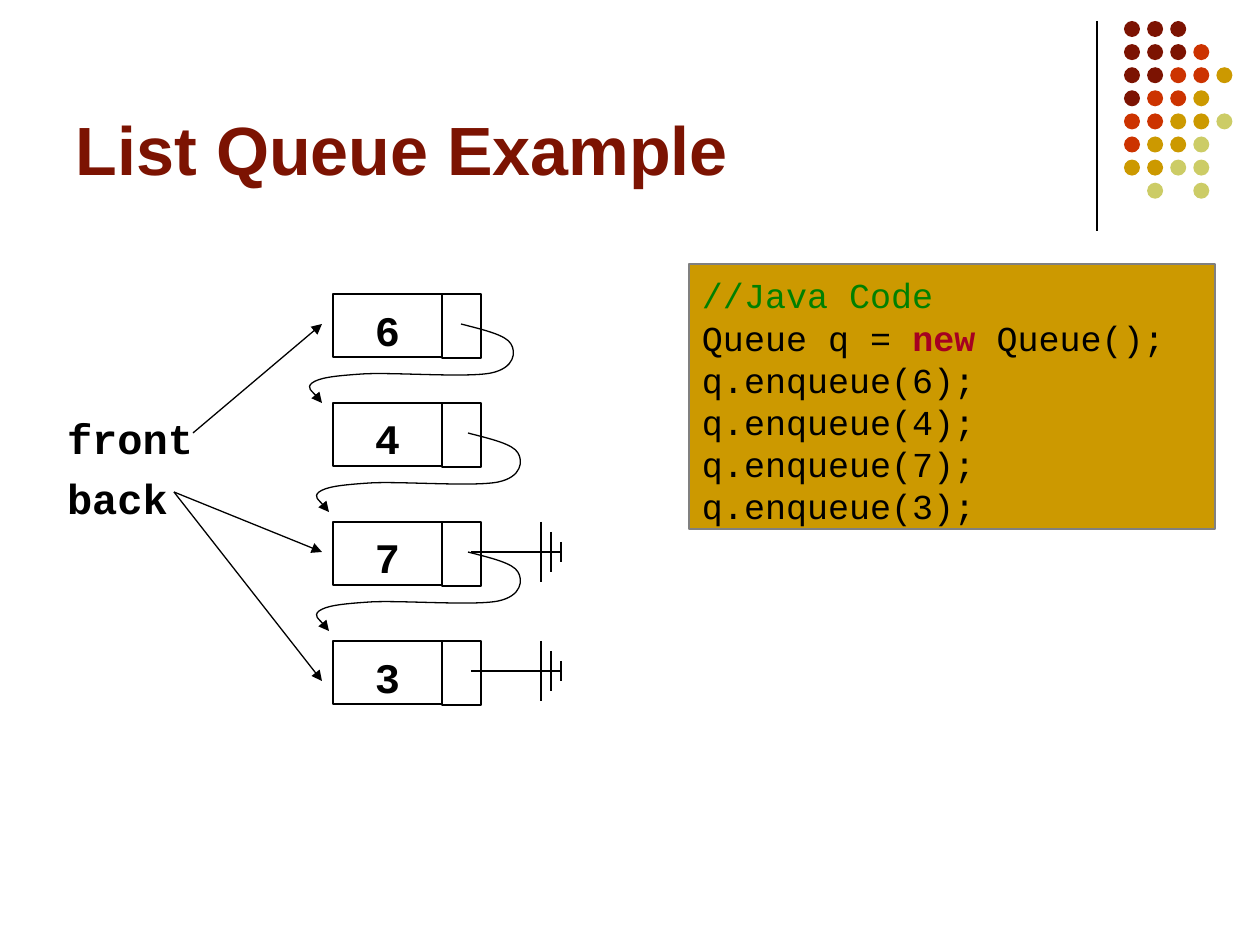
from lxml.etree import SubElement
from pptx import Presentation
from pptx.dml.color import RGBColor
from pptx.enum.shapes import MSO_CONNECTOR, MSO_SHAPE
from pptx.enum.text import MSO_ANCHOR, PP_ALIGN
from pptx.oxml.ns import qn
from pptx.util import Emu, Pt

PX = 914400 / 126

BLACK = RGBColor(0x00, 0x00, 0x00)
MAROON = RGBColor(0x7C, 0x13, 0x02)
RED = RGBColor(0xCC, 0x33, 0x00)
GOLD = RGBColor(0xCC, 0x99, 0x00)
OLIVE = RGBColor(0xCC, 0xCC, 0x66)
GRAY = RGBColor(0x80, 0x80, 0x80)
GREEN = RGBColor(0x00, 0x80, 0x00)
CRIMSON = RGBColor(0xA5, 0x00, 0x21)

TITLE = "List Queue Example"
DOT_ROWS = ["MMM", "MMMR", "MMRRG", "MRRG", "RRGGO", "RGGO", "GGOO", " O O"]
DOT_COLORS = {"M": MAROON, "R": RED, "G": GOLD, "O": OLIVE}

# value, top, start x of the link to the next node, whether it is grounded
NODES = [
    ("6", 294, 461, False),
    ("4", 403, 468, False),
    ("7", 522, 468, True),
    ("3", 641, None, True),
]
LABELS = [("front", 403), ("back", 463)]
POINTERS = [((193, 433), (322, 324)),
            ((174, 492), (322, 552)),
            ((174, 492), (322, 681))]
# cubic control points, relative to the start of a link
LINK_CURVE = [
    (23, 6), (45, 11), (50, 20),
    (55, 28), (54, 44), (30, 49),
    (5, 54), (-69, 48), (-99, 50),
    (-129, 52), (-142, 54), (-149, 59),
    (-155, 64), (-140, 76), (-139, 79),
]
CODE = [
    [("//Java Code", GREEN, False)],
    [("Queue q = ", BLACK, False), ("new", CRIMSON, True), (" Queue();", BLACK, False)],
] + [[(f"q.enqueue({value});", BLACK, False)] for value, *_ in NODES]


def px(*lengths):
    return [Emu(round(length * PX)) for length in lengths]


def set_line(line, color=BLACK, width=0.75, arrow=False):
    line.color.rgb = color
    line.width = Pt(width)
    if arrow:
        SubElement(line._get_or_add_ln(), qn("a:tailEnd"), type="triangle")


def add_line(shapes, start, end, arrow=False):
    connector = shapes.add_connector(MSO_CONNECTOR.STRAIGHT, *px(*start, *end))
    SubElement(connector._element.spPr, qn("a:effectLst"))
    set_line(connector.line, arrow=arrow)


def add_preset(shapes, kind, box, fill=None):
    shape = shapes.add_shape(kind, *px(*box))
    shape.shadow.inherit = False
    if fill is None:
        shape.fill.background()
    else:
        shape.fill.solid()
        shape.fill.fore_color.rgb = fill
    return shape


def prepare_frame(shape, anchor=MSO_ANCHOR.TOP, top=6):
    frame = shape.text_frame
    frame.word_wrap = True
    frame.vertical_anchor = anchor
    frame.margin_left, frame.margin_top, frame.margin_right, frame.margin_bottom = px(13, top, 13, 6)
    return frame


def style(paragraph, font, size, color=None, bold=None, align=PP_ALIGN.LEFT):
    paragraph.alignment = align
    paragraph.font.name = font
    paragraph.font.size = Pt(size)
    paragraph.font.bold = bold
    if color is not None:
        paragraph.font.color.rgb = color


def write_mono(shape, text, align=PP_ALIGN.LEFT):
    paragraph = prepare_frame(shape, top=10).paragraphs[0]
    paragraph.text = text
    paragraph.line_spacing = Pt(28.8)
    style(paragraph, "Courier New", 24, BLACK, True, align)


def add_link(shapes, x, y):
    """Draw the curved arrow from a node to the next one."""
    builder = shapes.build_freeform(*px(x, y), scale=1.0)
    builder.add_line_segments([px(x + dx, y + dy) for dx, dy in LINK_CURVE], close=False)
    link = builder.convert_to_shape()
    link.shadow.inherit = False
    link.fill.background()
    set_line(link.line, arrow=True)
    # Every three straight segments become one cubic curve.
    outline = link._element.find(".//" + qn("a:path"))
    segments = outline.findall(qn("a:lnTo"))
    for first in range(0, len(segments), 3):
        curve = SubElement(outline, qn("a:cubicBezTo"))
        for segment in segments[first:first + 3]:
            curve.append(segment[0])
            outline.remove(segment)


def add_ground(shapes, y):
    add_line(shapes, (471, y), (561, y))
    for x, half in ((541, 30), (551, 20), (561, 10)):
        add_line(shapes, (x, y - half), (x, y + half))


def add_node(shapes, value, top, link_x, grounded):
    cell = add_preset(shapes, MSO_SHAPE.RECTANGLE, (333, top, 109, 63))
    write_mono(cell, value, PP_ALIGN.CENTER)
    pointer = add_preset(shapes, MSO_SHAPE.RECTANGLE, (442, top, 39, 64))
    for part in (cell, pointer):
        set_line(part.line)
    if grounded:
        add_ground(shapes, top + 30)
    if link_x is not None:
        add_link(shapes, link_x, top + 30)


def add_code(shapes):
    panel = add_preset(shapes, MSO_SHAPE.RECTANGLE, (689, 264, 526, 265), GOLD)
    set_line(panel.line, GRAY, 1.5)
    frame = prepare_frame(panel, top=10)
    for index, pieces in enumerate(CODE):
        paragraph = frame.add_paragraph() if index else frame.paragraphs[0]
        paragraph.line_spacing = Pt(24)
        style(paragraph, "Courier New", 20)
        for text, color, bold in pieces:
            run = paragraph.add_run()
            run.text = text
            run.font.color.rgb = color
            run.font.bold = bold


def add_decoration(shapes):
    add_line(shapes, (1097, 21), (1097, 231))
    for row, letters in enumerate(DOT_ROWS):
        for column, letter in enumerate(letters):
            if letter in DOT_COLORS:
                box = (1124 + 23.1 * column, 21 + 23.1 * row, 16, 16)
                dot = add_preset(shapes, MSO_SHAPE.OVAL, box, DOT_COLORS[letter])
                dot.line.fill.background()


def main():
    deck = Presentation()
    deck.slide_width, deck.slide_height = px(1260, 945)
    shapes = deck.slides.add_slide(deck.slide_layouts[6]).shapes

    add_decoration(shapes)
    heading = prepare_frame(shapes.add_textbox(*px(63, 16, 1040, 179)), MSO_ANCHOR.BOTTOM)
    heading.text = TITLE
    style(heading.paragraphs[0], "Arial", 39, MAROON, True)

    for label, top in LABELS:
        write_mono(shapes.add_textbox(*px(54, top, 169, 63)), label)
    for node in NODES:
        add_node(shapes, *node)
    for start, end in POINTERS:
        add_line(shapes, start, end, arrow=True)
    add_code(shapes)
    deck.save("out.pptx")


if __name__ == "__main__":
    main()
